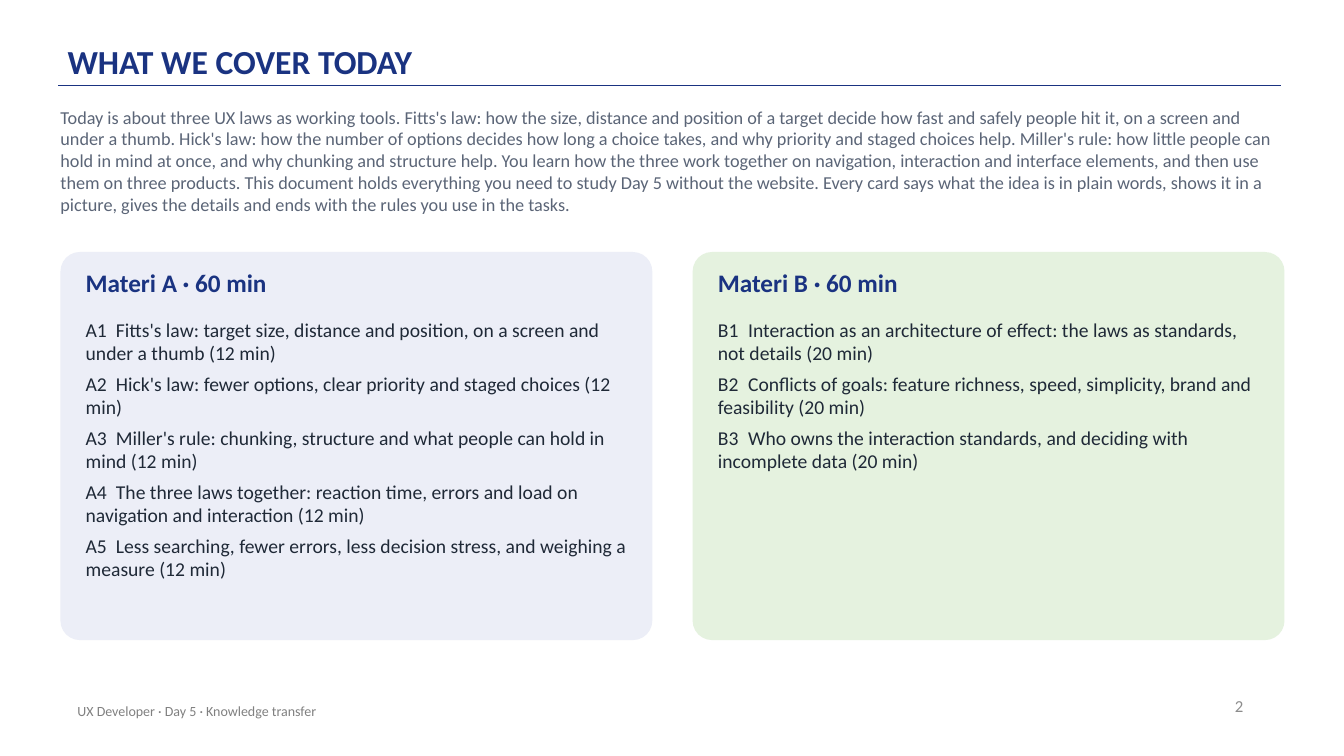
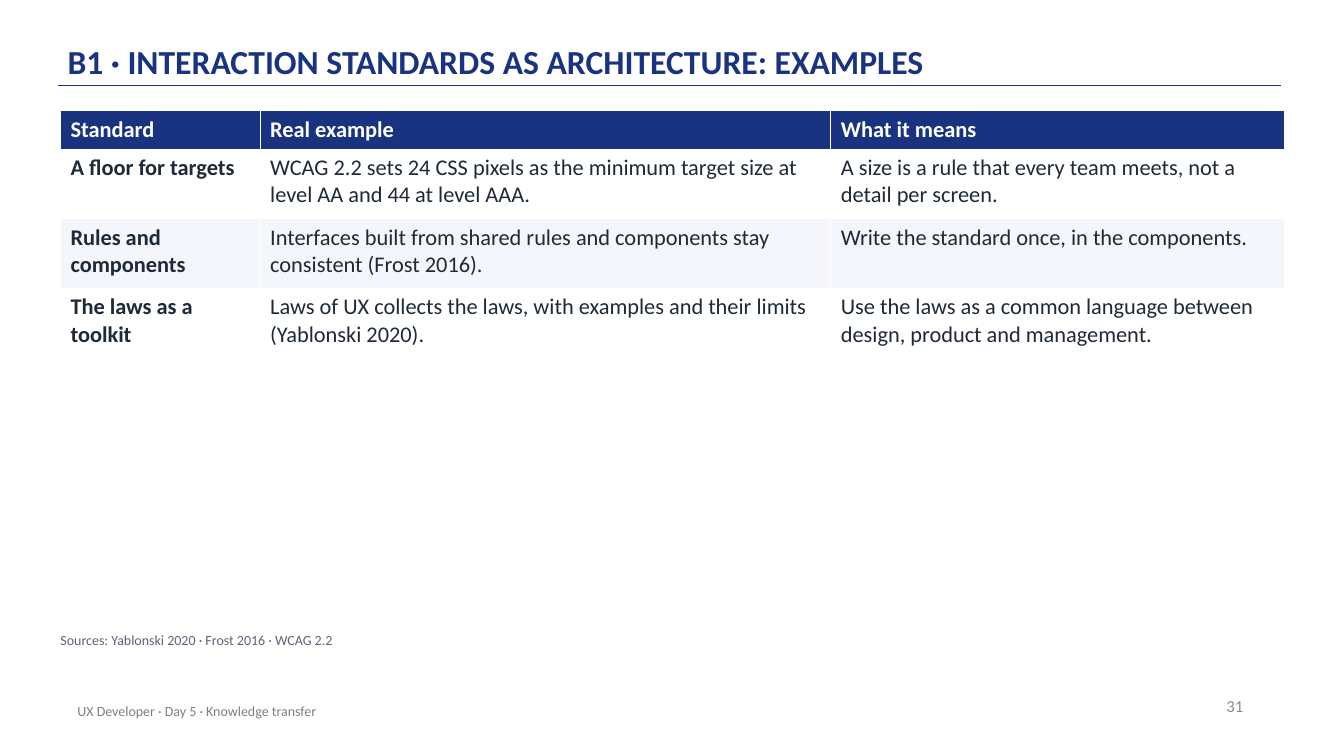
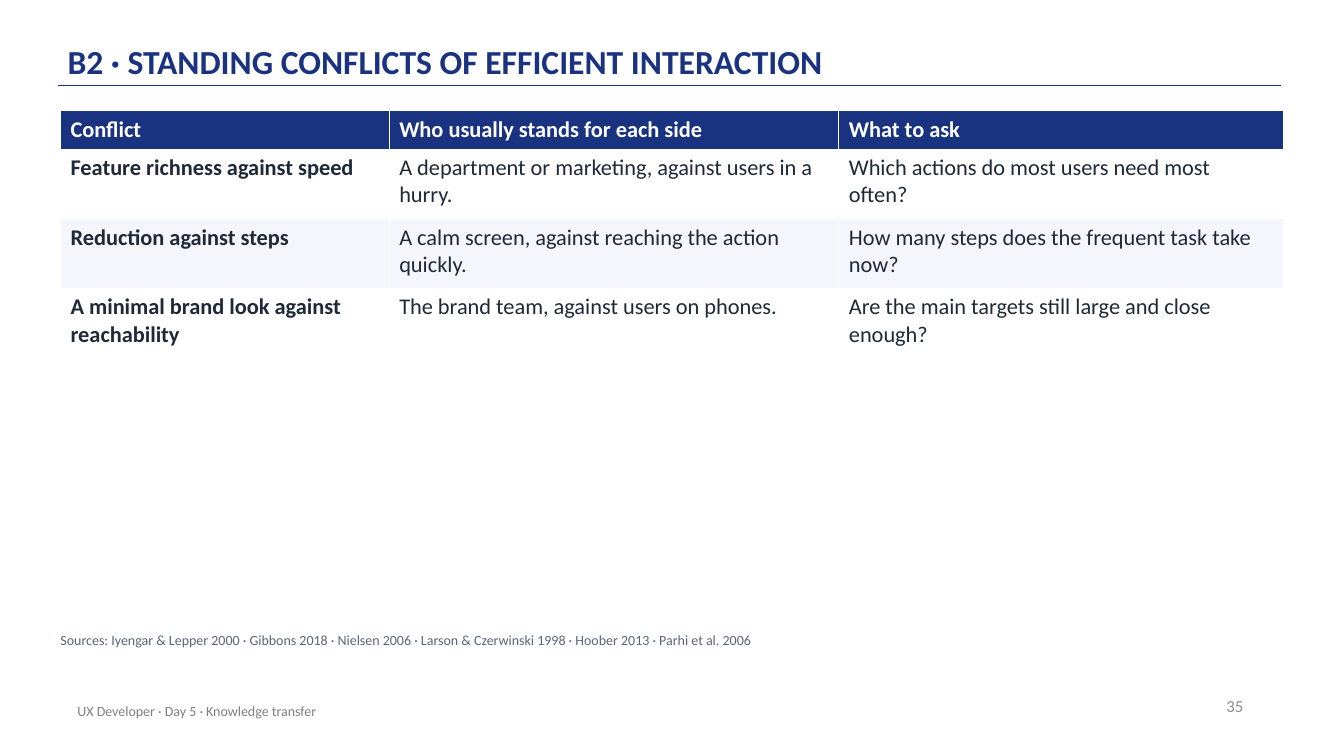
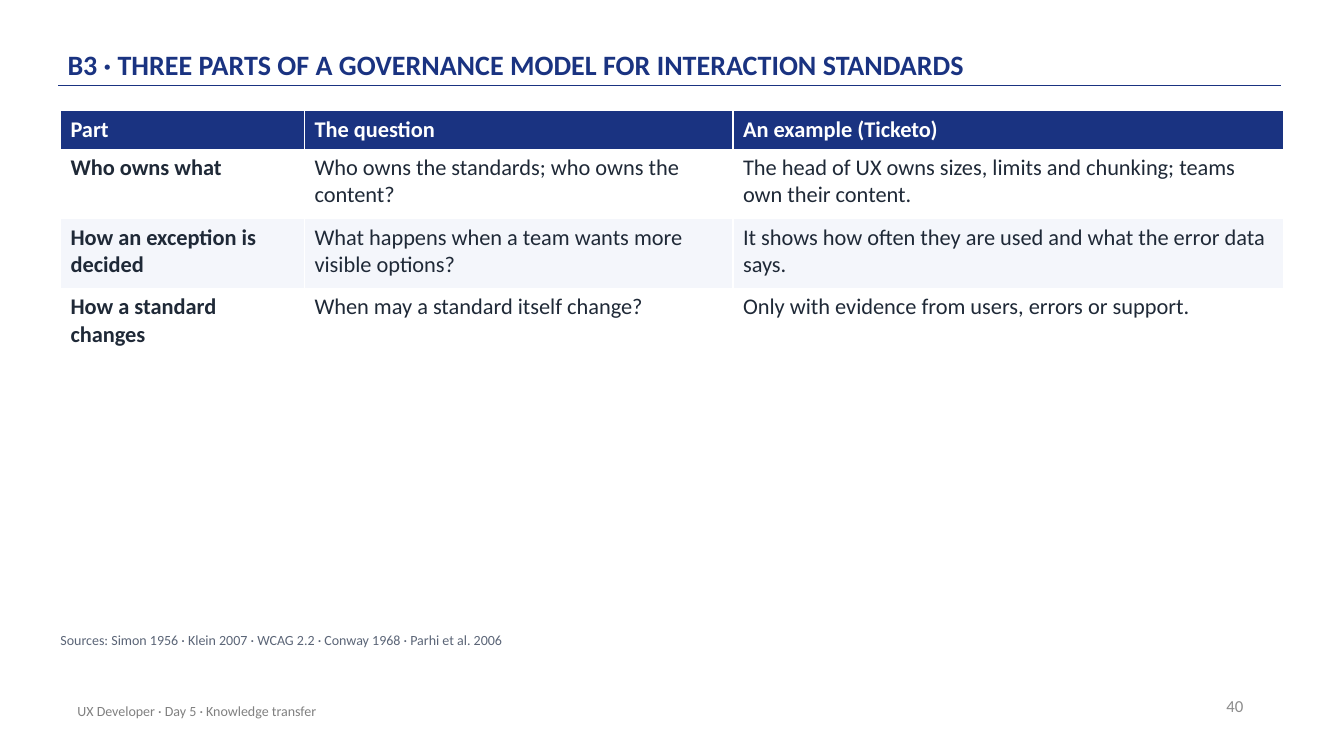
from dataclasses import dataclass

import lxml.etree
import pptx
import pptx.dml.color
import pptx.enum.shapes
import pptx.enum.text
import pptx.oxml.ns
import pptx.presentation
import pptx.shapes.autoshape
import pptx.slide
import pptx.text.text
import pptx.util
from pptx.util import Inches

Anchor = pptx.enum.text.MSO_ANCHOR
Align = pptx.enum.text.PP_ALIGN

COLORS = {
    "navy": "1A3381",
    "ink": "1F2937",
    "slate": "5B6577",
    "footer": "808080",
    "number": "8C8C8C",
    "white": "FFFFFF",
    "stripe": "F4F6FB",
    "lavender": "ECEEF7",
    "mint": "E5F2DF",
}
FONT = "Calibri"
FOOTER = "UX Developer · Day 5 · Knowledge transfer"
LEFT = 0.6
TEXT_WIDTH = 12.1
CARD_WIDTH, CARD_GAP, CARD_PADDING = 5.87, 0.4, 0.25
HEADER_HEIGHT, ROW_HEIGHT = 0.38, 0.69

Box = tuple[float, float, float, float]


@dataclass(frozen=True)
class Topic:
    code: str
    summary: str


@dataclass(frozen=True)
class Card:
    heading: str
    fill: str
    topics: list[Topic]


@dataclass(frozen=True)
class TableSlide:
    title: str
    number: int
    column_widths: list[float]
    rows: list[list[str]]
    sources: str
    title_size: int = 24


INTRO = (
    "Today is about three UX laws as working tools. Fitts's law: how the size, distance and "
    "position of a target decide how fast and safely people hit it, on a screen and under a thumb. "
    "Hick's law: how the number of options decides how long a choice takes, and why priority and "
    "staged choices help. Miller's rule: how little people can hold in mind at once, and why "
    "chunking and structure help. You learn how the three work together on navigation, interaction "
    "and interface elements, and then use them on three products. This document holds everything "
    "you need to study Day 5 without the website. Every card says what the idea is in plain words, "
    "shows it in a picture, gives the details and ends with the rules you use in the tasks."
)

CARDS = [
    Card("Materi A · 60 min", "lavender", [
        Topic("A1", "Fitts's law: target size, distance and position, on a screen and under a thumb (12 min)"),
        Topic("A2", "Hick's law: fewer options, clear priority and staged choices (12 min)"),
        Topic("A3", "Miller's rule: chunking, structure and what people can hold in mind (12 min)"),
        Topic("A4", "The three laws together: reaction time, errors and load on navigation and interaction (12 min)"),
        Topic("A5", "Less searching, fewer errors, less decision stress, and weighing a measure (12 min)"),
    ]),
    Card("Materi B · 60 min", "mint", [
        Topic("B1", "Interaction as an architecture of effect: the laws as standards, not details (20 min)"),
        Topic("B2", "Conflicts of goals: feature richness, speed, simplicity, brand and feasibility (20 min)"),
        Topic("B3", "Who owns the interaction standards, and deciding with incomplete data (20 min)"),
    ]),
]

TABLE_SLIDES = [
    TableSlide(
        "B1 · INTERACTION STANDARDS AS ARCHITECTURE: EXAMPLES", 31, [1.98, 5.66, 4.5],
        [
            ["Standard", "Real example", "What it means"],
            ["A floor for targets",
             "WCAG 2.2 sets 24 CSS pixels as the minimum target size at level AA and 44 at level AAA.",
             "A size is a rule that every team meets, not a detail per screen."],
            ["Rules and components",
             "Interfaces built from shared rules and components stay consistent (Frost 2016).",
             "Write the standard once, in the components."],
            ["The laws as a toolkit",
             "Laws of UX collects the laws, with examples and their limits (Yablonski 2020).",
             "Use the laws as a common language between design, product and management."],
        ],
        "Sources: Yablonski 2020 · Frost 2016 · WCAG 2.2",
    ),
    TableSlide(
        "B2 · STANDING CONFLICTS OF EFFICIENT INTERACTION", 35, [3.26, 4.46, 4.41],
        [
            ["Conflict", "Who usually stands for each side", "What to ask"],
            ["Feature richness against speed",
             "A department or marketing, against users in a hurry.",
             "Which actions do most users need most often?"],
            ["Reduction against steps",
             "A calm screen, against reaching the action quickly.",
             "How many steps does the frequent task take now?"],
            ["A minimal brand look against reachability",
             "The brand team, against users on phones.",
             "Are the main targets still large and close enough?"],
        ],
        "Sources: Iyengar & Lepper 2000 · Gibbons 2018 · Nielsen 2006 · "
        "Larson & Czerwinski 1998 · Hoober 2013 · Parhi et al. 2006",
    ),
    TableSlide(
        "B3 · THREE PARTS OF A GOVERNANCE MODEL FOR INTERACTION STANDARDS", 40, [2.42, 4.25, 5.46],
        [
            ["Part", "The question", "An example (Ticketo)"],
            ["Who owns what",
             "Who owns the standards; who owns the content?",
             "The head of UX owns sizes, limits and chunking; teams own their content."],
            ["How an exception is decided",
             "What happens when a team wants more visible options?",
             "It shows how often they are used and what the error data says."],
            ["How a standard changes",
             "When may a standard itself change?",
             "Only with evidence from users, errors or support."],
        ],
        "Sources: Simon 1956 · Klein 2007 · WCAG 2.2 · Conway 1968 · Parhi et al. 2006",
        title_size=20,
    ),
]


def rgb(name: str) -> pptx.dml.color.RGBColor:
    return pptx.dml.color.RGBColor.from_string(COLORS[name])


def write(frame: pptx.text.text.TextFrame, *texts: str, size: float, color: str,
          bold: bool = False, align: Align = Align.LEFT, after: float = 0,
          line_spacing: float | None = None, tab: float | None = None) -> None:
    """Fill a text frame with one paragraph per text, all in the same format."""
    for index, text in enumerate(texts):
        paragraph = frame.paragraphs[0] if index == 0 else frame.add_paragraph()
        paragraph.alignment = align
        paragraph.space_after = pptx.util.Pt(after)
        paragraph.line_spacing = line_spacing
        if tab is not None:
            qn = pptx.oxml.ns.qn
            stops = lxml.etree.SubElement(paragraph._p.get_or_add_pPr(), qn("a:tabLst"))
            lxml.etree.SubElement(stops, qn("a:tab"), pos=str(Inches(tab)), algn="l")
        run = paragraph.add_run()
        run.text = text
        run.font.name = FONT
        run.font.size = pptx.util.Pt(size)
        run.font.bold = bold
        run.font.color.rgb = rgb(color)


def text_frame(slide: pptx.slide.Slide, box: Box, *, inset: tuple[float, float] = (0, 0),
               anchor: Anchor = Anchor.TOP) -> pptx.text.text.TextFrame:
    """Add a wrapping text box; inset is horizontal, then vertical."""
    frame = slide.shapes.add_textbox(*map(Inches, box)).text_frame
    frame.word_wrap = True
    frame.vertical_anchor = anchor
    frame.margin_left = frame.margin_right = Inches(inset[0])
    frame.margin_top = frame.margin_bottom = Inches(inset[1])
    return frame


def add_base_slide(deck: pptx.presentation.Presentation, title: str, number: int,
                   title_size: int = 24) -> pptx.slide.Slide:
    """Add a slide with the shared title, rule, page number and footer."""
    slide = deck.slides.add_slide(deck.slide_layouts[6])
    rule = slide.shapes.add_connector(
        pptx.enum.shapes.MSO_CONNECTOR.STRAIGHT,
        Inches(0.58), Inches(0.85), Inches(12.71), Inches(0.85))
    rule.line.color.rgb = rgb("navy")
    rule.line.width = pptx.util.Pt(1)
    lxml.etree.SubElement(rule._element.spPr, pptx.oxml.ns.qn("a:effectLst"))

    write(text_frame(slide, (0.67, 0.12, 11, 0.72), inset=(0, 0.03), anchor=Anchor.BOTTOM),
          title, size=title_size, color="navy", bold=True, line_spacing=0.9)
    write(text_frame(slide, (9.43, 6.8, 3, 0.4), inset=(0.1, 0.05), anchor=Anchor.MIDDLE),
          str(number), size=12, color="number", align=Align.RIGHT)
    write(text_frame(slide, (0.67, 6.85, 6.7, 0.4), inset=(0.1, 0.05), anchor=Anchor.MIDDLE),
          FOOTER, size=10, color="footer")
    return slide


def draw_card(slide: pptx.slide.Slide, card: Card, left: float) -> None:
    panel = slide.shapes.add_shape(
        pptx.enum.shapes.MSO_SHAPE.ROUNDED_RECTANGLE,
        Inches(left), Inches(2.5), Inches(CARD_WIDTH), Inches(3.85))
    panel.adjustments[0] = 0.05
    panel.shadow.inherit = False
    panel.fill.solid()
    panel.fill.fore_color.rgb = rgb(card.fill)
    panel.line.fill.background()

    text_left, text_width = left + CARD_PADDING, CARD_WIDTH - 2 * CARD_PADDING
    write(text_frame(slide, (text_left, 2.65, text_width, 0.4)),
          card.heading, size=18, color="navy", bold=True, after=6)
    write(text_frame(slide, (text_left, 3.15, text_width, 3.1)),
          *(f"{topic.code}\t{topic.summary}" for topic in card.topics),
          size=14, color="ink", after=5, tab=0.3)


def draw_table(slide: pptx.slide.Slide, content: TableSlide) -> None:
    heights = [HEADER_HEIGHT] + [ROW_HEIGHT] * (len(content.rows) - 1)
    table = slide.shapes.add_table(
        len(content.rows), len(content.column_widths), Inches(LEFT), Inches(1.1),
        Inches(sum(content.column_widths)), Inches(sum(heights))).table
    table.horz_banding = False
    for column, width in zip(table.columns, content.column_widths):
        column.width = Inches(width)
    for row_index, texts in enumerate(content.rows):
        table.rows[row_index].height = Inches(heights[row_index])
        is_header = row_index == 0
        fill = "navy" if is_header else "white" if row_index % 2 else "stripe"
        for column_index, text in enumerate(texts):
            cell = table.cell(row_index, column_index)
            cell.fill.solid()
            cell.fill.fore_color.rgb = rgb(fill)
            write(cell.text_frame, text, size=16, color="white" if is_header else "ink",
                  bold=is_header or column_index == 0)


def main() -> None:
    deck = pptx.Presentation()
    deck.slide_width, deck.slide_height = Inches(13.33), Inches(7.5)

    overview = add_base_slide(deck, "WHAT WE COVER TODAY", 2)
    write(text_frame(overview, (LEFT, 1.05, TEXT_WIDTH, 1.2)),
          INTRO, size=13, color="slate", after=6)
    for index, card in enumerate(CARDS):
        draw_card(overview, card, LEFT + index * (CARD_WIDTH + CARD_GAP))

    for content in TABLE_SLIDES:
        slide = add_base_slide(deck, content.title, content.number, content.title_size)
        draw_table(slide, content)
        write(text_frame(slide, (LEFT, 6.27, TEXT_WIDTH, 0.3)),
              content.sources, size=10, color="slate", after=6)

    deck.save("out.pptx")


if __name__ == "__main__":
    main()
